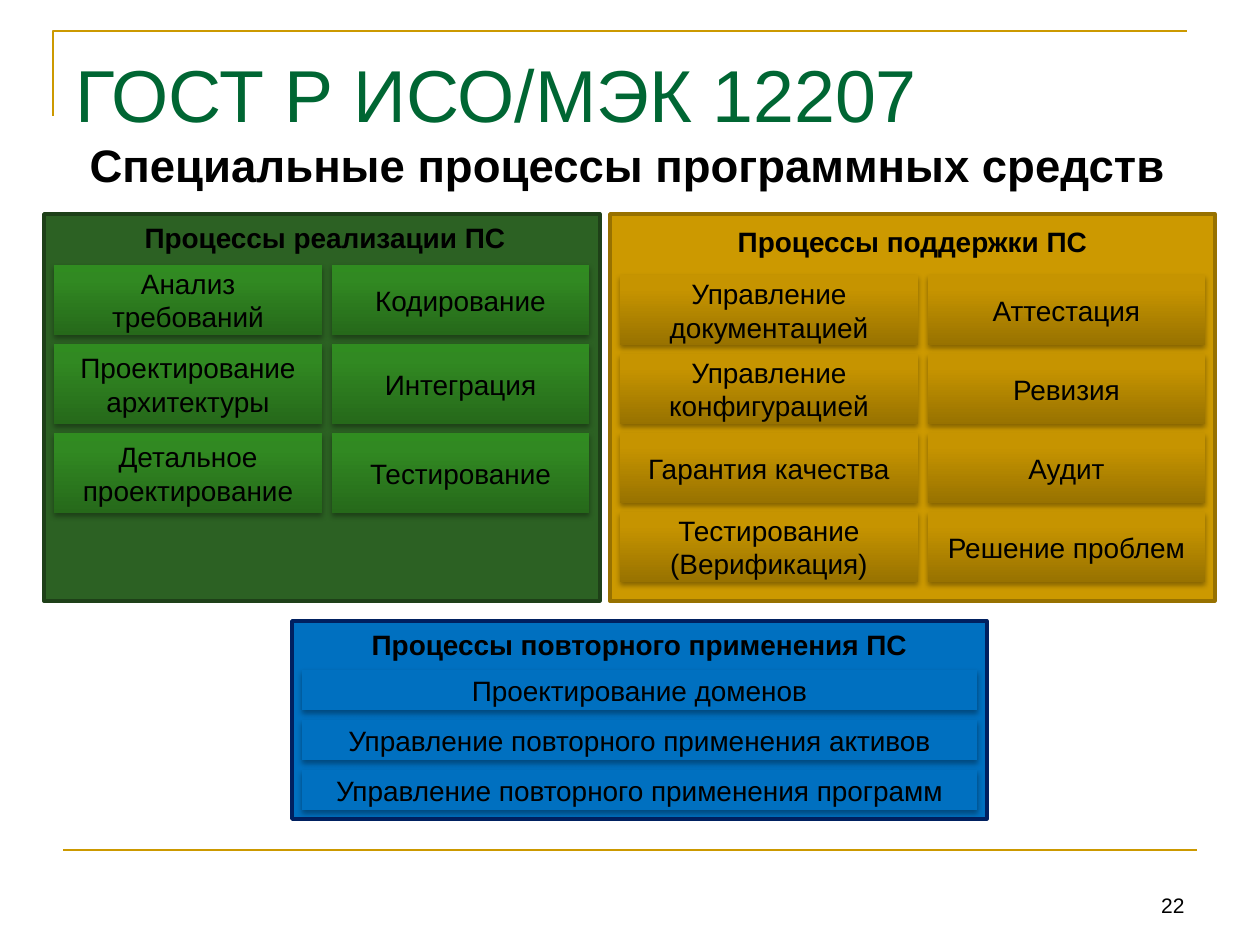
from lxml import etree
from pptx import Presentation
from pptx import util as u
from pptx.dml.color import RGBColor
from pptx.enum import shapes, text
from pptx.oxml import parse_xml
from pptx.oxml.ns import nsdecls, qn

COL = {
    "title": "006633", "ink": "000000", "rule": "CC9900",
    "green": "2C6123", "moss": "1E4018",
    "amber": "CC9900", "ochre": "977100",
    "blue": "0070C0", "navy": "002060",
}
GRAD = {
    "green": ((0, "26691A"), (80, "318922"), (100, "308C20")),
    "amber": ((0, "987200"), (80, "C69400"), (100, "C79500")),
}
GAP = 10


def px(n):
    return u.Emu(round(n * 914400 / 126))


def box(*dims):
    return [px(n) for n in dims]


def rgb(name):
    return RGBColor.from_string(COL[name])


def place(shape, *dims):
    shape.left, shape.top, shape.width, shape.height = box(*dims)


def write(shape, words, size, color="ink", bold=False,
          align=text.PP_ALIGN.CENTER, anchor=text.MSO_ANCHOR.MIDDLE):
    frame = shape.text_frame
    frame.text = words
    frame.word_wrap = True
    frame.auto_size = text.MSO_AUTO_SIZE.NONE
    frame.vertical_anchor = anchor
    para = frame.paragraphs[0]
    para.alignment = align
    para.space_before = u.Pt(0)
    font = para.font
    font.name, font.size, font.bold = "Arial", u.Pt(size), bold
    font.color.rgb = rgb(color)
    return frame


def rect(slide, dims, fill):
    shape = slide.shapes.add_shape(shapes.MSO_SHAPE.RECTANGLE, *box(*dims))
    shape.shadow.inherit = False
    shape.fill.solid()
    shape.fill.fore_color.rgb = rgb(fill)
    return shape


def shade(shape, stops):
    shape.fill.gradient()
    shape.fill.gradient_angle = 90
    marks = shape._element.spPr.find(".//" + qn("a:gsLst"))
    for old in list(marks):
        marks.remove(old)
    for pos, color in stops:
        stop = etree.SubElement(marks, qn("a:gs"), pos=str(pos * 1000))
        etree.SubElement(stop, qn("a:srgbClr"), val=color)


def drop(shape):
    """Soft shadow straight below the shape."""
    props = shape._element.spPr
    props.replace(props.find(qn("a:effectLst")), parse_xml(
        f'<a:effectLst {nsdecls("a")}><a:outerShdw blurRad="40000" '
        'dist="23000" dir="5400000" rotWithShape="0"><a:srgbClr val="000000">'
        '<a:alpha val="35000"/></a:srgbClr></a:outerShdw></a:effectLst>'))


def tile(slide, dims, words, fill):
    shape = rect(slide, dims, fill)
    shape.line.fill.background()
    if fill in GRAD:
        shade(shape, GRAD[fill])
    drop(shape)
    write(shape, words, 16)


def panel(slide, dims, fill, edge, head, shift, top, rows, cols, items,
          gap=9):
    """Framed panel with a heading and a grid of tiles, row by row."""
    left, y, wide, high = dims
    frame = rect(slide, dims, fill)
    frame.line.color.rgb = rgb(edge)
    frame.line.width = u.Pt(2)
    dx, dy = shift
    cap = slide.shapes.add_textbox(*box(left + dx, y + dy, wide, 47))
    write(cap, head, 16, bold=True, anchor=text.MSO_ANCHOR.TOP)
    y += top
    for tall, line in zip(rows, items):
        x = left + GAP
        for width, words in zip(cols, line):
            tile(slide, (x, y, width, tall), words, fill)
            x += width + GAP
        y += tall + gap


def rules(slide):
    """Corner bracket and bottom rule."""
    path = slide.shapes.build_freeform(px(53), px(116))
    path.add_line_segments([(px(53), px(31)), (px(1187), px(31))], close=False)
    mark = path.convert_to_shape()
    mark.fill.background()
    mark.shadow.inherit = False
    base = slide.shapes.add_connector(
        shapes.MSO_CONNECTOR.STRAIGHT, *box(63, 850, 1197, 850))
    etree.SubElement(base._element.spPr, qn("a:effectLst"))
    for shape in (mark, base):
        shape.line.color.rgb = rgb("rule")
        shape.line.width = u.Pt(1.5)


def heading(slide):
    """Title, subtitle and page number."""
    left = text.PP_ALIGN.LEFT
    title, body = slide.placeholders
    place(title, 63, 38, 1134, 99)
    frame = write(title, "ГОСТ Р ИСО/МЭК 12207", 42, "title", align=left,
                  anchor=text.MSO_ANCHOR.BOTTOM)
    frame.margin_bottom = 0
    place(body, 77, 126, 1134, 88)
    frame = write(body, "Специальные процессы программных средств", 26,
                  bold=True, align=left, anchor=text.MSO_ANCHOR.TOP)
    frame.margin_top = px(11)
    props = frame.paragraphs[0]._p.get_or_add_pPr()
    props.set("marL", "0")
    props.set("indent", "0")
    etree.SubElement(props, qn("a:buNone"))
    props.append(props.find(qn("a:defRPr")))
    page = slide.shapes.add_textbox(*box(903, 861, 294, 63))
    write(page, "22", 12, align=text.PP_ALIGN.RIGHT,
          anchor=text.MSO_ANCHOR.BOTTOM)


deck = Presentation()
deck.slide_width, deck.slide_height = box(1260, 945)
slide = deck.slides.add_slide(deck.slide_layouts[1])
rules(slide)
heading(slide)

# Support processes
panel(slide, (610, 214, 605, 387), "amber", "ochre",
      "Процессы поддержки ПС", (0, 4), 61, [70] * 4, (298, 277), [
          ("Управление документацией", "Аттестация"),
          ("Управление конфигурацией", "Ревизия"),
          ("Гарантия качества", "Аудит"),
          ("Тестирование (Верификация)", "Решение проблем")])

# Implementation processes
panel(slide, (44, 214, 556, 387), "green", "moss",
      "Процессы реализации ПС", (3, 0), 51, (70, 80, 80), (268, 257), [
          ("Анализ требований", "Кодирование"),
          ("Проектирование архитектуры", "Интеграция"),
          ("Детальное проектирование", "Тестирование")])

# Reuse processes
panel(slide, (292, 621, 695, 198), "blue", "navy",
      "Процессы повторного применения ПС", (0, 0), 49, [40] * 3, (675,), [
          ("Проектирование доменов",),
          ("Управление повторного применения активов",),
          ("Управление повторного применения программ",)], gap=10)

deck.save("out.pptx")
